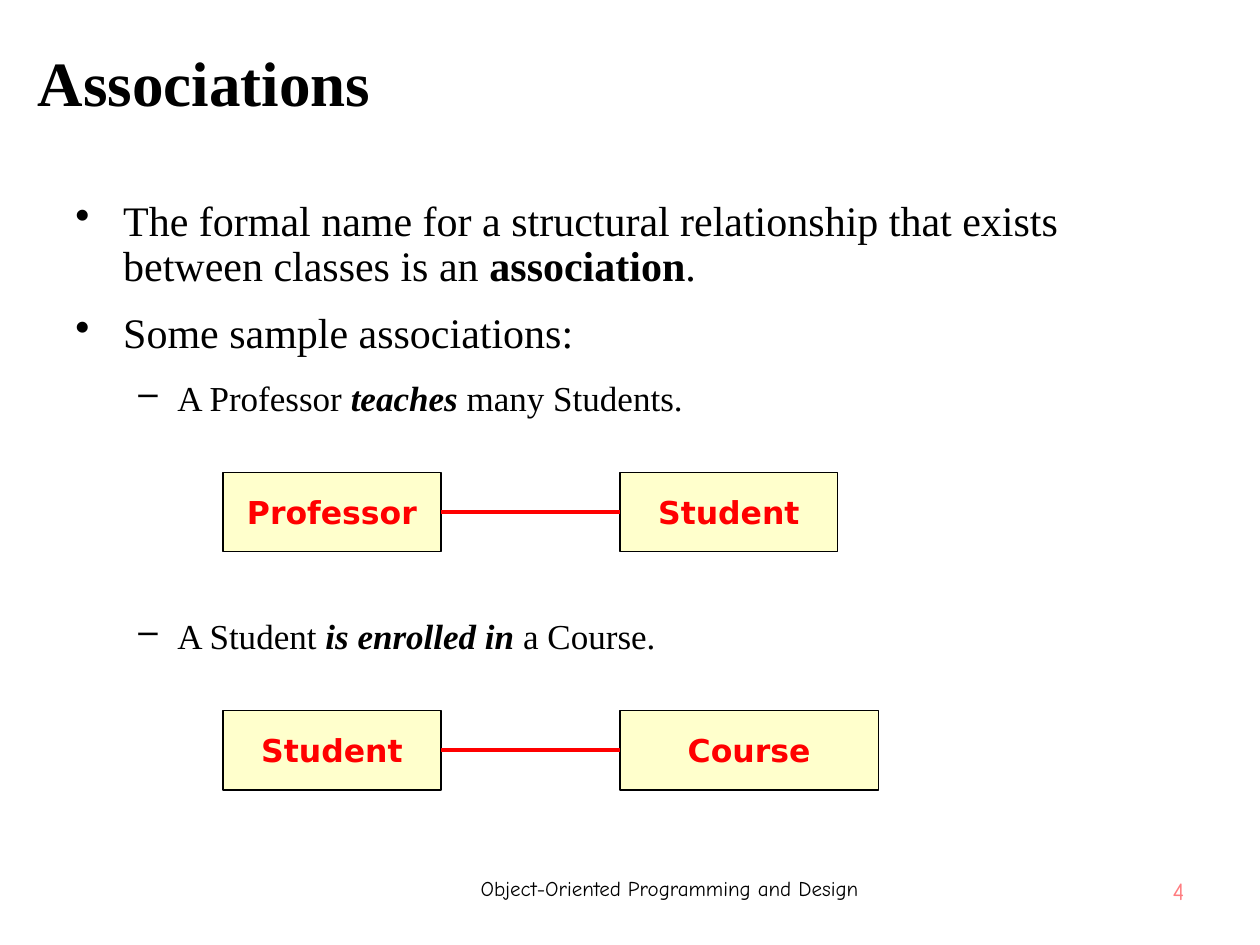
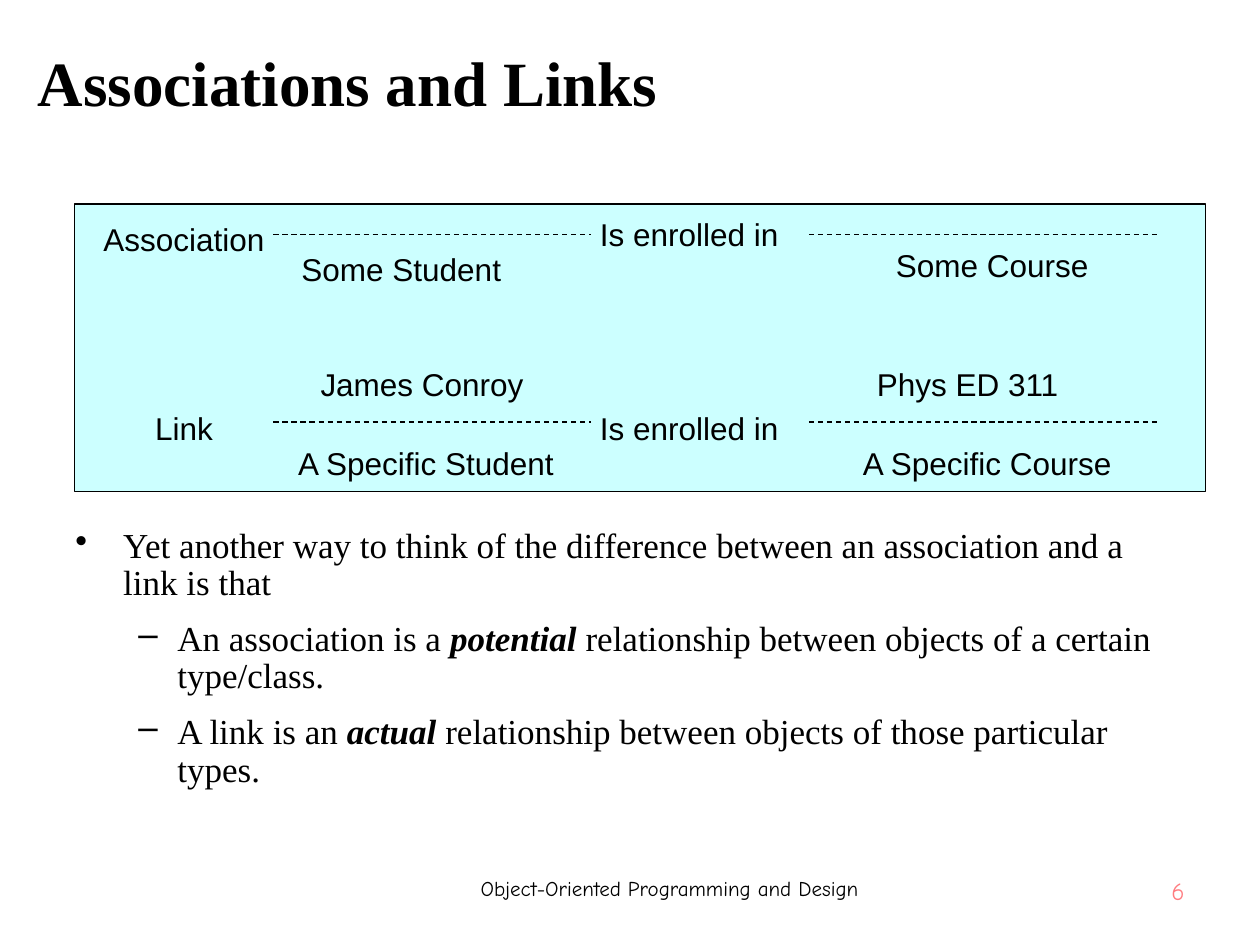
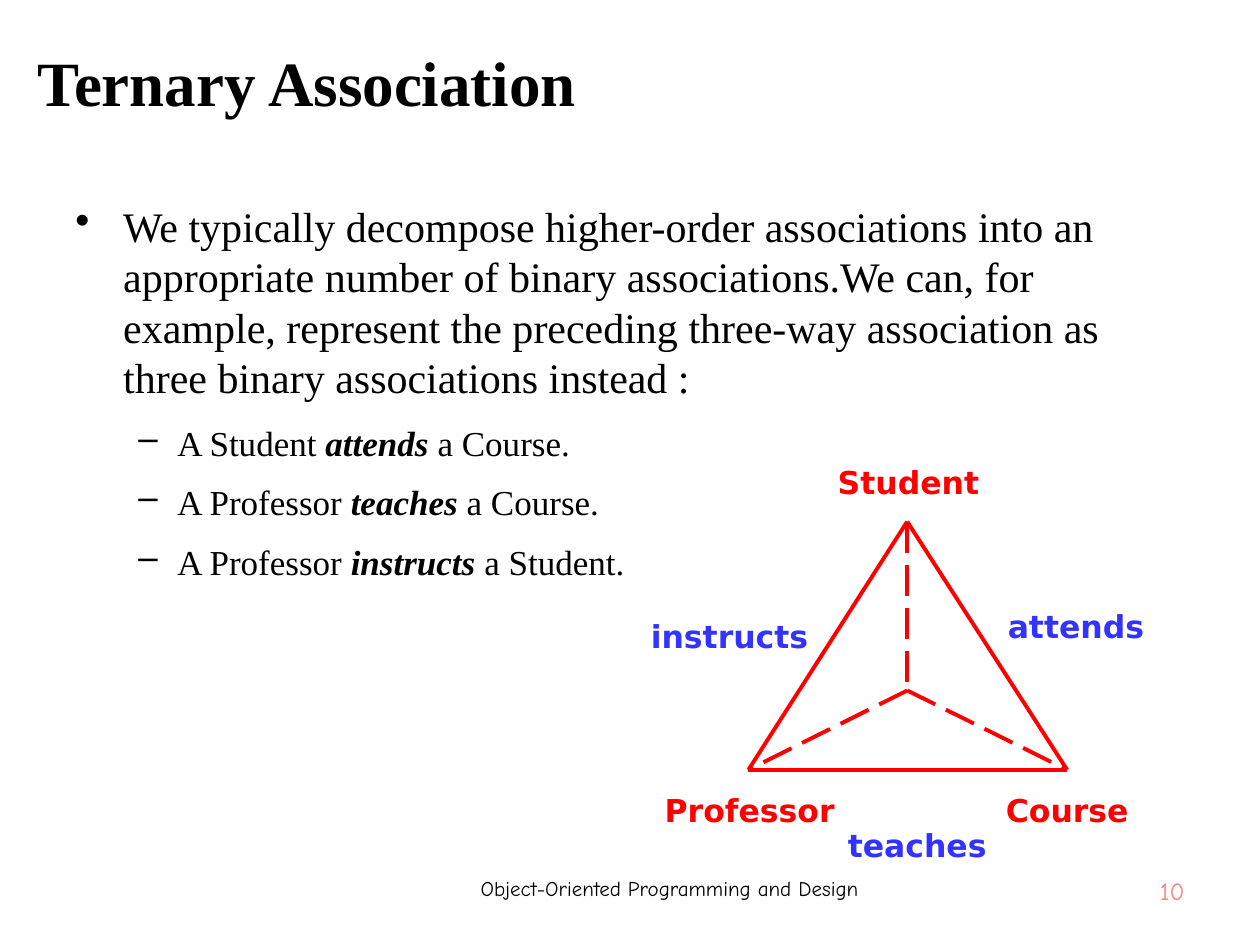
from itertools import combinations

from lxml.etree import SubElement
from pptx import Presentation
from pptx.dml.color import RGBColor
from pptx.enum.dml import MSO_LINE
from pptx.enum.shapes import MSO_CONNECTOR, MSO_SHAPE
from pptx.enum.text import MSO_ANCHOR, MSO_AUTO_SIZE, PP_ALIGN
from pptx.oxml.ns import qn
from pptx.util import Inches, Pt

BLACK, RED, BLUE, PINK = "000000", "FF0000", "3333FF", "FF7C80"
CREAM, AQUA = "FFFFCC", "CCFFFF"
SERIF, SANS, DIAGRAM, FOOTER = "Times New Roman", "Arial", "DejaVu Sans", "Comic Neue"
FOOTER_TEXT = "Object-Oriented Programming and Design"
BULLETS = [("•", 0.38, 0.38), ("–", 0.81, 0.31)]
FULL_BODY = (0.5, 1.54, 9, 5.28)
LOWER_BODY = (0.5, 4.14, 9, 2.68)

ASSOCIATION_POINTS = [
    dict(level=0, size=24, spacing=0.9, runs=[
        ("The formal name for a structural relationship that exists between classes is an ", ""),
        ("association", "b"), (".", "")]),
    dict(level=0, size=24, spacing=0.9, runs=[("Some sample associations:", "")]),
    dict(level=1, size=20, runs=[
        ("A Professor ", ""), ("teaches ", "bi"), ("many Students.", "")]),
    dict(level=1, size=20, before=107, runs=[
        ("A Student ", ""), ("is enrolled in", "bi"), (" a Course.", "")]),
]
CLASS_PAIRS = [
    (3.75, "Professor", "Student", 1.73),
    (5.64, "Student", "Course", 2.05),
]

LINK_POINTS = [
    dict(level=0, size=20, spacing=0.9, runs=[
        ("Yet another way to think of the difference between an association and a link is that", "")]),
    dict(level=1, size=20, spacing=0.9, runs=[
        ("An association is a ", ""), ("potential ", "bi"),
        ("relationship between objects of a certain type/class.", "")]),
    dict(level=1, size=20, spacing=0.9, runs=[
        ("A link is an ", ""), ("actual ", "bi"),
        ("relationship between objects of those particular types.", "")]),
]
LINK_LABELS = [
    ("Association", (0.91, 1.7, 1.1, 0.39)),
    ("Is enrolled in", (4.92, 1.7, 1.1, 0.31)),
    ("Some Student", (2.4, 1.94, 1.57, 0.39)),
    ("Some Course", (7.05, 1.94, 1.65, 0.32)),
    ("Link", (0.91, 3.2, 1.1, 0.39)),
    ("Is enrolled in", (4.92, 3.2, 1.1, 0.39)),
    ("A Specific Student", (2.24, 3.51, 2.28, 0.32)),
    ("A Specific Course", (6.81, 3.51, 2.05, 0.32)),
    ("James Conroy", (2.8, 2.81, 1.1, 0.47)),
    ("Phys ED 311", (7.13, 2.81, 1.1, 0.47)),
]
LINK_ROWS = [1.86, 3.35]
LINK_SPANS = [(2.17, 4.69), (6.42, 9.18)]

TERNARY_POINTS = [
    dict(level=0, size=24, runs=[
        ("We typically decompose higher-order associations into an appropriate number of binary "
         "associations.We can, for example, represent the preceding three-way association as "
         "three binary associations instead :", "")]),
    dict(level=1, size=20, runs=[
        ("A Student ", ""), ("attends ", "bi"), ("a Course.", "")]),
    dict(level=1, size=20, runs=[
        ("A Professor ", ""), ("teaches ", "bi"), ("a Course.", "")]),
    dict(level=1, size=20, runs=[
        ("A Professor ", ""), ("instructs ", "bi"), ("a Student.", "")]),
]
TRIANGLE_CORNERS = [(7.2, 4.14), (5.94, 6.11), (8.47, 6.11)]
TRIANGLE_CENTRE = (7.2, 5.48)
TERNARY_LABELS = [
    ("Student", (6.5, 3.51, 1.42, 0.63), RED),
    ("Professor", (5.16, 6.11, 1.58, 0.63), RED),
    ("Course", (7.76, 6.11, 1.42, 0.63), RED),
    ("attends", (7.99, 4.77, 1.1, 0.39), BLUE),
    ("teaches", (6.73, 6.51, 1.1, 0.39), BLUE),
    ("instructs", (5.24, 4.85, 1.1, 0.39), BLUE),
]


def color(value):
    return RGBColor.from_string(value)


def inches(values):
    return [Inches(value) for value in values]


def add_run(paragraph, text, size, font, fill=BLACK, style=""):
    run = paragraph.add_run()
    run.text = text
    run.font.name = font
    run.font.size = Pt(size)
    run.font.color.rgb = color(fill)
    run.font.bold = "b" in style
    run.font.italic = "i" in style


def write_label(shape, text, size, font, fill=BLACK, style="",
                align=PP_ALIGN.CENTER, anchor=MSO_ANCHOR.MIDDLE, wrap=False):
    frame = shape.text_frame
    frame.auto_size = MSO_AUTO_SIZE.NONE
    frame.word_wrap = wrap
    frame.vertical_anchor = anchor
    paragraph = frame.paragraphs[0]
    paragraph.alignment = align
    add_run(paragraph, text, size, font, fill, style)


def add_label(slide, box, *text, **options):
    write_label(slide.shapes.add_textbox(*inches(box)), *text, **options)


def add_box(slide, box, fill):
    shape = slide.shapes.add_shape(MSO_SHAPE.RECTANGLE, *inches(box))
    shape.shadow.inherit = False
    shape.fill.solid()
    shape.fill.fore_color.rgb = color(fill)
    shape.line.color.rgb = color(BLACK)
    shape.line.width = Pt(0.75)
    return shape


def add_line(slide, start, end, fill=RED, width=2.25, dash=None):
    line = slide.shapes.add_connector(MSO_CONNECTOR.STRAIGHT, *inches(start + end))
    line.line.color.rgb = color(fill)
    line.line.width = Pt(width)
    if dash:
        line.line.dash_style = dash
    SubElement(line._element.spPr, qn("a:effectLst"))


def add_points(slide, box, points):
    frame = slide.shapes.add_textbox(*inches(box)).text_frame
    frame.word_wrap = True
    for index, point in enumerate(points):
        paragraph = frame.add_paragraph() if index else frame.paragraphs[0]
        character, margin, hang = BULLETS[point["level"]]
        properties = paragraph._p.get_or_add_pPr()
        properties.set("marL", str(Inches(margin)))
        properties.set("indent", str(-Inches(hang)))
        SubElement(properties, qn("a:buChar"), char=character)
        gap = point["size"] / 4
        paragraph.level = point["level"]
        paragraph.line_spacing = point.get("spacing", 1.0)
        paragraph.space_before = Pt(point.get("before", gap) if index else 0)
        paragraph.space_after = Pt(gap)
        for text, style in point["runs"]:
            add_run(paragraph, text, point["size"], SERIF, style=style)


def add_titled_slide(presentation, title, number):
    slide = presentation.slides.add_slide(presentation.slide_layouts[5])
    shape = slide.shapes.title
    shape.left, shape.top, shape.width, shape.height = inches((0.2, 0.21, 9.61, 0.87))
    write_label(shape, title, 36, SERIF, style="b", align=PP_ALIGN.LEFT, wrap=True)
    add_label(slide, (8.39, 6.9, 1.11, 0.45), number, 14, FOOTER, PINK,
              align=PP_ALIGN.RIGHT, anchor=MSO_ANCHOR.TOP, wrap=True)
    add_label(slide, (3.03, 6.9, 4.57, 0.45), FOOTER_TEXT, 12, FOOTER,
              anchor=MSO_ANCHOR.TOP, wrap=True)
    return slide


def build_associations(presentation):
    slide = add_titled_slide(presentation, "Associations", "4")
    add_points(slide, FULL_BODY, ASSOCIATION_POINTS)
    left, right, width, height = 1.77, 4.92, 1.73, 0.63
    for top, first, second, second_width in CLASS_PAIRS:
        for name, box in [(first, (left, top, width, height)),
                          (second, (right, top, second_width, height))]:
            write_label(add_box(slide, box, CREAM), name, 18, DIAGRAM, RED, "b")
        middle = top + height / 2
        add_line(slide, (left + width, middle), (right, middle))


def build_links(presentation):
    slide = add_titled_slide(presentation, "Associations and Links", "6")
    add_box(slide, (0.59, 1.62, 8.98, 2.28), AQUA)
    add_points(slide, LOWER_BODY, LINK_POINTS)
    for text, box in LINK_LABELS:
        add_label(slide, box, text, 18, SANS)
    for row in LINK_ROWS:
        for start, end in LINK_SPANS:
            add_line(slide, (start, row), (end, row), BLACK, 0.75, MSO_LINE.DASH)


def build_ternary(presentation):
    slide = add_titled_slide(presentation, "Ternary Association", "10")
    add_points(slide, FULL_BODY, TERNARY_POINTS)
    for corner in TRIANGLE_CORNERS:
        start, end = sorted((corner, TRIANGLE_CENTRE), key=lambda point: point != TRIANGLE_CENTRE)
        if corner == TRIANGLE_CORNERS[0]:
            start, end = end, start
        add_line(slide, start, end, dash=MSO_LINE.LONG_DASH)
    for start, end in combinations(TRIANGLE_CORNERS, 2):
        add_line(slide, start, end)
    for text, box, fill in TERNARY_LABELS:
        add_label(slide, box, text, 18, DIAGRAM, fill, "b")


def main():
    presentation = Presentation()
    presentation.slide_width, presentation.slide_height = inches((10, 7.5))
    build_associations(presentation)
    build_links(presentation)
    build_ternary(presentation)
    presentation.save("out.pptx")


if __name__ == "__main__":
    main()
